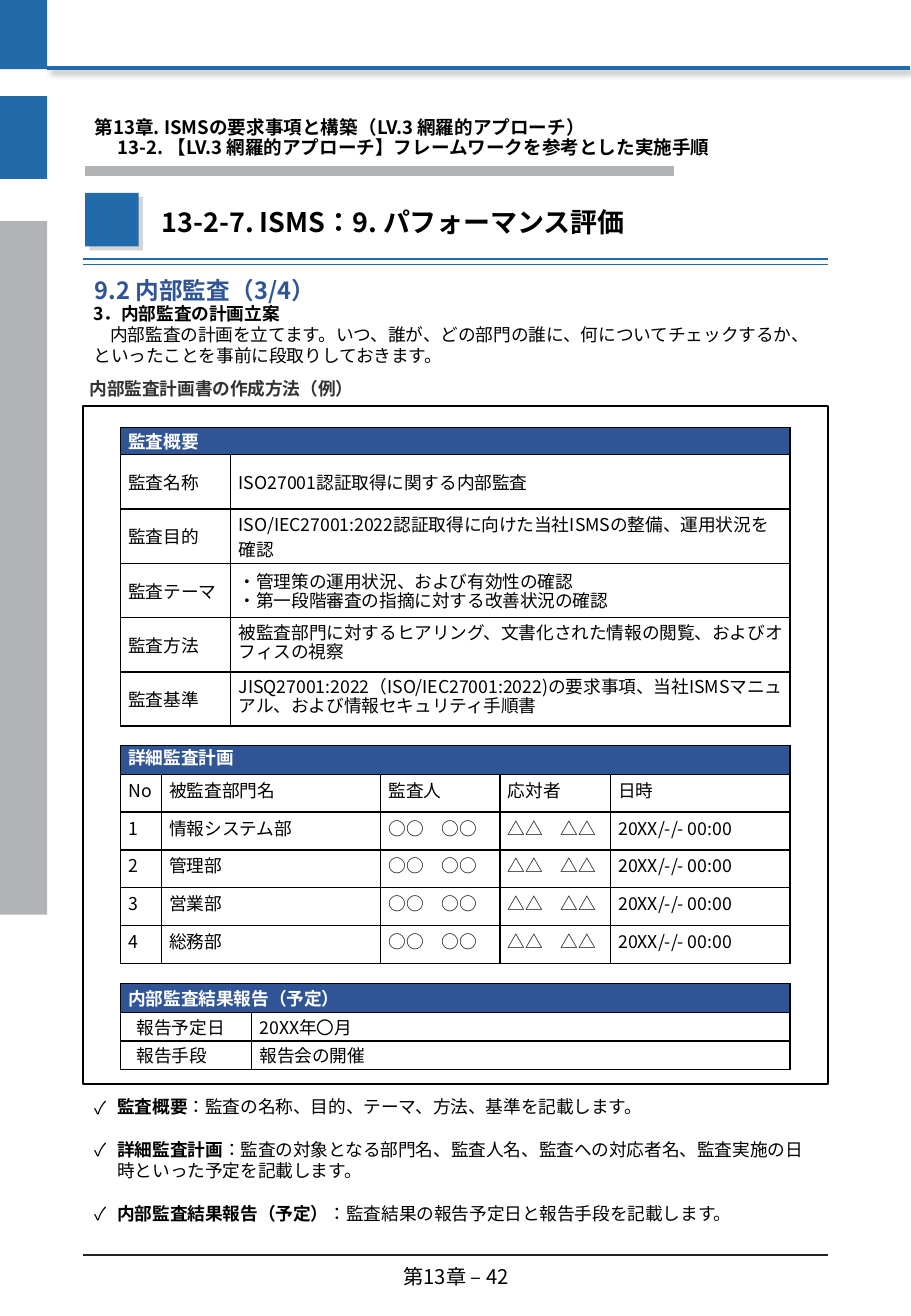
from dataclasses import dataclass
from typing import Optional

import lxml.etree
import pptx
import pptx.dml.color
import pptx.enum.lang
import pptx.enum.shapes
import pptx.enum.text
import pptx.oxml
import pptx.oxml.ns
import pptx.util

Pt = pptx.util.Pt
Align = pptx.enum.text.PP_ALIGN
Anchor = pptx.enum.text.MSO_ANCHOR
qn = pptx.oxml.ns.qn


@dataclass(frozen=True)
class Theme:
    font: str = "Noto Sans CJK JP"
    blue: str = "226BAB"
    navy: str = "2F5597"
    gray: str = "B2B3B5"
    pale: str = "D3D5D6"
    dark: str = "333333"
    rule: str = "222222"
    black: str = "000000"
    white: str = "FFFFFF"
    title: float = 16
    section: float = 14
    footer: float = 12
    chapter: float = 11
    body: float = 10.5
    body_leading: float = 12.6
    cell_leading: float = 11


@dataclass(frozen=True)
class Block:
    x: float
    y: float
    w: float
    h: float
    fill: Optional[str] = None
    line: Optional[str] = None


@dataclass(frozen=True)
class Rule:
    x1: float
    x2: float
    y: float
    color: str
    width: float = 1
    shadow: bool = False


@dataclass(frozen=True)
class PlanTable:
    y: float
    cols: list[float]
    header_height: float
    row_height: float
    heading: str
    rows: list[list[str]]
    leading: Optional[float] = None
    wrapped_leading: Optional[float] = None
    label_indent: float = 0


T = Theme()
LEFT, WIDTH = 49, 442
RIGHT = LEFT + WIDTH
TABLE_X = 71.3

BLOCKS = [
    Block(0, 0, 28, 41, T.blue),
    Block(0, 57, 28, 49, T.blue),
    Block(0, 131, 28, 411, T.gray),
    Block(53, 116.7, 31.7, 31.7, T.pale),
    Block(50.5, 114.3, 31.7, 31.7, T.blue),
]
RULES = [
    Rule(28, 539.3, 40.3, T.blue, 2, shadow=True),
    Rule(50.5, 399.6, 101.5, T.gray, 6),
    Rule(LEFT, RIGHT, 153.4, T.blue),
    Rule(LEFT, RIGHT, 156.8, T.blue),
    Rule(LEFT, RIGHT, 743.6, T.rule),
]
DEPARTMENTS = ["情報システム部", "管理部", "営業部", "総務部"]
TABLES = [
    PlanTable(253.4, [65.5, 331.5], 16, 32.2, "監査概要", [
        ["監査名称", "ISO27001認証取得に関する内部監査"],
        ["監査目的", "ISO/IEC27001:2022認証取得に向けた当社ISMSの整備、運用状況を確認"],
        ["監査テーマ", "・管理策の運用状況、および有効性の確認\n・第一段階審査の指摘に対する改善状況の確認"],
        ["監査方法", "被監査部門に対するヒアリング、文書化された情報の閲覧、およびオフィスの視察"],
        ["監査基準", "JISQ27001:2022（ISO/IEC27001:2022)の要求事項、当社ISMSマニュアル、および情報セキュリティ手順書"],
    ], wrapped_leading=T.cell_leading),
    PlanTable(441.8, [24.3, 130.1, 70.6, 65.5, 106.5], 17, 22.4, "詳細監査計画", [
        ["No", "被監査部門名", "監査人", "応対者", "日時"],
        *([str(n), name, "○○　○○", "△△　△△", "20XX/-/- 00:00"]
          for n, name in enumerate(DEPARTMENTS, 1)),
    ], leading=T.cell_leading),
    PlanTable(582.8, [77.8, 319.2], 17, 17, "内部監査結果報告（予定）", [
        ["報告予定日", "20XX年〇月"],
        ["報告手段", "報告会の開催"],
    ], label_indent=5),
]
NOTES = [
    ("監査概要", "：監査の名称、目的、テーマ、方法、基準を記載します。"),
    ("詳細監査計画", "：監査の対象となる部門名、監査人名、監査への対応者名、監査実施の日時といった予定を記載します。"),
    ("内部監査結果報告（予定）", "：監査結果の報告予定日と報告手段を記載します。"),
]


def rgb(value: str) -> pptx.dml.color.RGBColor:
    return pptx.dml.color.RGBColor.from_string(value)


def add_text(tf, text: str, *, lead: str = "", size: float = T.body, bold: bool = False,
             color: str = T.black, leading: Optional[float] = None, before: float = 0,
             margin: float = 0, indent: float = 0, bullet: str = "", align=Align.LEFT) -> None:
    """Add one paragraph, optionally opened by a bold lead; leading is in points."""
    p = tf.add_paragraph() if tf.text else tf.paragraphs[0]
    p.alignment = align
    if leading:
        p.line_spacing = Pt(leading)
    if before:
        p.space_before = Pt(before)
    pPr = p._p.get_or_add_pPr()
    pPr.set("marL", str(Pt(margin)))
    pPr.set("indent", str(Pt(indent)))
    if bullet:
        lxml.etree.SubElement(pPr, qn("a:buFont"), typeface=T.font)
        lxml.etree.SubElement(pPr, qn("a:buChar"), char=bullet)
    for content, strong in ((lead, True), (text, bold)):
        if content:
            r = p.add_run()
            r.text = content
            r.font.size, r.font.bold = Pt(size), strong
            r.font.color.rgb = rgb(color)
            r.font.name = T.font
            r.font.language_id = pptx.enum.lang.MSO_LANGUAGE_ID.JAPANESE
            lxml.etree.SubElement(r._r.get_or_add_rPr(), qn("a:ea"), typeface=T.font)


def add_box(s, x: float, y: float, w: float, h: float, anchor=Anchor.TOP):
    tf = s.shapes.add_textbox(Pt(x), Pt(y), Pt(w), Pt(h)).text_frame
    tf.word_wrap = True
    tf.vertical_anchor = anchor
    return tf


def add_block(s, b: Block) -> None:
    sp = s.shapes.add_shape(pptx.enum.shapes.MSO_SHAPE.RECTANGLE,
                            Pt(b.x), Pt(b.y), Pt(b.w), Pt(b.h))
    sp.shadow.inherit = False
    for part, color in ((sp.fill, b.fill), (sp.line.fill, b.line)):
        if color:
            part.solid()
            part.fore_color.rgb = rgb(color)
        else:
            part.background()
    if b.line:
        sp.line.width = Pt(1)


def add_rule(s, rule: Rule) -> None:
    c = s.shapes.add_connector(pptx.enum.shapes.MSO_CONNECTOR.STRAIGHT,
                               Pt(rule.x1), Pt(rule.y), Pt(rule.x2), Pt(rule.y))
    c.line.color.rgb = rgb(rule.color)
    c.line.width = Pt(rule.width)
    effects = lxml.etree.SubElement(c._element.spPr, qn("a:effectLst"))
    if rule.shadow:
        shadow = lxml.etree.SubElement(effects, qn("a:outerShdw"), blurRad=str(Pt(4)),
                                       dist=str(Pt(3)), dir="2700000", rotWithShape="0")
        tone = lxml.etree.SubElement(shadow, qn("a:srgbClr"), val=T.black)
        lxml.etree.SubElement(tone, qn("a:alpha"), val="40000")


def style_cell(cell, fill: Optional[str]) -> None:
    cell.vertical_anchor = Anchor.MIDDLE
    cell.margin_left, cell.margin_right = Pt(4.8), Pt(3.5)
    cell.margin_top = cell.margin_bottom = 0
    if fill:
        cell.fill.solid()
        cell.fill.fore_color.rgb = rgb(fill)
    else:
        cell.fill.background()
    for i, side in enumerate(("lnL", "lnR", "lnT", "lnB")):
        ln = lxml.etree.Element(qn(f"a:{side}"), w=str(Pt(1)))
        paint = lxml.etree.SubElement(ln, qn("a:solidFill"))
        lxml.etree.SubElement(paint, qn("a:srgbClr"), val=T.black)
        cell._tc.get_or_add_tcPr().insert(i, ln)


def add_plan_table(s, t: PlanTable) -> None:
    heights = [t.header_height] + [t.row_height] * len(t.rows)
    table = s.shapes.add_table(len(heights), len(t.cols), Pt(TABLE_X), Pt(t.y),
                               Pt(sum(t.cols)), Pt(sum(heights))).table
    table.first_row = table.horz_banding = False
    for col, w in zip(table.columns, t.cols):
        col.width = Pt(w)
    for i, (row, h) in enumerate(zip(table.rows, heights)):
        row.height = Pt(h)
        for cell in row.cells:
            style_cell(cell, None if i else T.navy)
    table.cell(0, 0).merge(table.cell(0, len(t.cols) - 1))
    add_text(table.cell(0, 0).text_frame, t.heading, bold=True, color=T.white, leading=t.leading)
    for i, values in enumerate(t.rows, 1):
        for j, value in enumerate(values):
            for k, line in enumerate(value.split("\n")):
                tight = k > 0 or (j > 0 and i > 3)
                add_text(table.cell(i, j).text_frame, line,
                         leading=t.wrapped_leading if tight and t.wrapped_leading else t.leading,
                         indent=0 if j else t.label_indent)


def main() -> None:
    prs = pptx.Presentation()
    prs.slide_width, prs.slide_height = Pt(540), Pt(779.76)
    s = prs.slides.add_slide(prs.slide_layouts[5])
    for b in BLOCKS:
        add_block(s, b)
    for rule in RULES:
        add_rule(s, rule)

    title = s.shapes.title
    title.left, title.top, title.width, title.height = Pt(88.6), Pt(114.5), Pt(430), Pt(30.2)
    title.text_frame.auto_size = pptx.enum.text.MSO_AUTO_SIZE.NONE
    title.text_frame.vertical_anchor = Anchor.BOTTOM
    add_text(title.text_frame, "13-2-7. ISMS：9. パフォーマンス評価",
             size=T.title, bold=True, leading=17.3)

    chapter = add_box(s, LEFT, 65.5, 491, 33.1, Anchor.MIDDLE)
    for text, indent in (("第13章. ISMSの要求事項と構築（LV.3 網羅的アプローチ）", 0),
                         ("13-2. 【LV.3 網羅的アプローチ】フレームワークを参考とした実施手順", 13.5)):
        add_text(chapter, text, size=T.chapter, bold=True, leading=11.9, indent=indent)
    add_text(add_box(s, LEFT, 157.4, WIDTH, 30.2, Anchor.MIDDLE), "9.2 内部監査（3/4）",
             size=T.section, bold=True, color=T.navy, leading=15.1)

    body = add_box(s, 48.3, 175.7, WIDTH, 60)
    add_text(body, "3．内部監査の計画立案", bold=True, leading=T.body_leading)
    add_text(body, "内部監査の計画を立てます。いつ、誰が、どの部門の誰に、何についてチェックするか、"
             "といったことを事前に段取りしておきます。", leading=T.body_leading, indent=10)
    add_text(add_box(s, 46, 220.3, WIDTH, 20), "内部監査計画書の作成方法（例）",
             bold=True, color=T.dark, leading=T.body_leading)

    for t in TABLES:
        add_plan_table(s, t)
    add_block(s, Block(LEFT, 240.5, WIDTH, 401.8, line=T.black))

    notes = add_box(s, LEFT, 645.8, WIDTH, 83.5)
    for i, (lead, text) in enumerate(NOTES):
        add_text(notes, text, lead=lead, leading=T.body_leading, bullet="✓",
                 before=T.body_leading if i else 0, margin=13.5, indent=-13.5)
    add_text(add_box(s, 209.5, 742.3, 121.7, 27.4, Anchor.MIDDLE), "第13章 – 42",
             size=T.footer, leading=14.4, align=Align.CENTER)
    prs.save("out.pptx")


if __name__ == "__main__":
    main()
